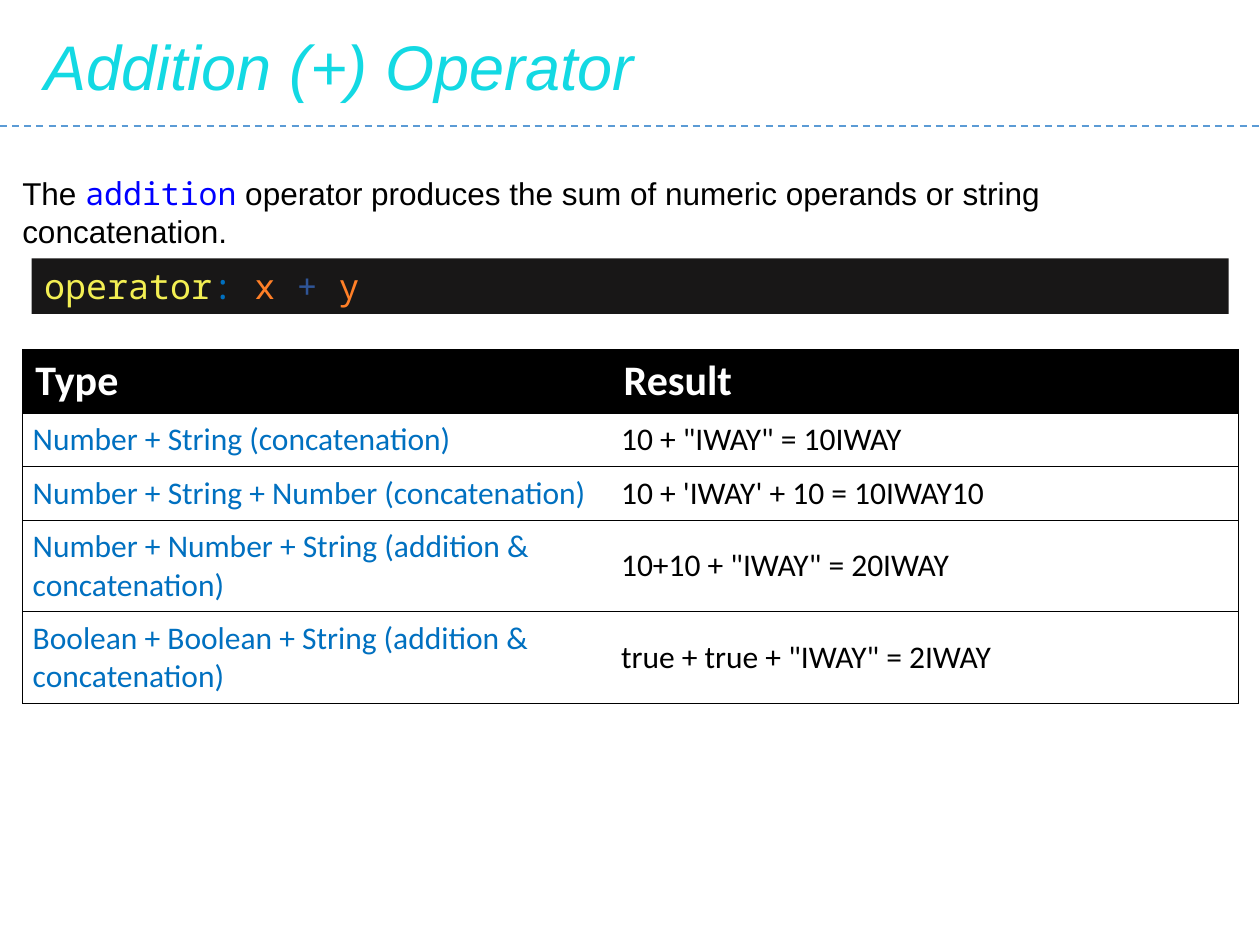
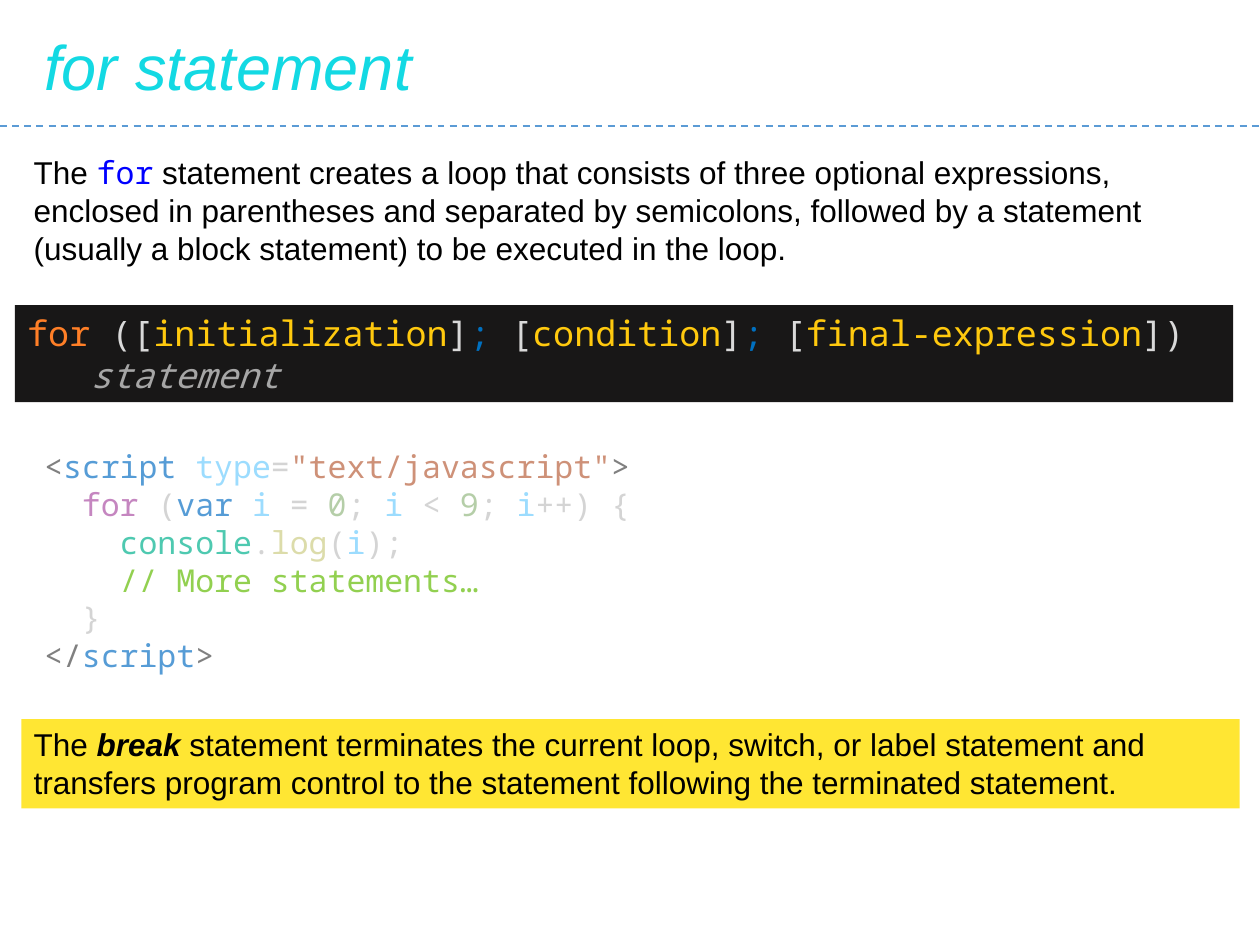
from lxml.etree import SubElement
from pptx import Presentation
from pptx.dml.color import RGBColor
from pptx.enum.dml import MSO_LINE
from pptx.enum.shapes import MSO_CONNECTOR, MSO_SHAPE
from pptx.enum.text import MSO_ANCHOR, PP_ALIGN
from pptx.oxml.ns import qn
from pptx.util import Cm, Pt

SANS, MONO, TABLE = "Arial", "Noto Sans Mono", "Calibri"
BLACK, WHITE, DARK, YELLOW = "000000", "FFFFFF", "181717", "FFE633"
CYAN, RULE, LINK, BLUE = "13D9E3", "5B9BD5", "0000FF", "0070C0"
ORANGE, GOLD, LIGHT = "FF7F27", "FFC90E", "D9D9D9"
# Code listing colours
GREY, TAG, NAME, PLAIN, DIGIT = "808080", "569CD6", "9CDCFE", "D4D4D4", "B5CEA8"


def hue(code):
    return RGBColor.from_string(code)


def add_box(slide, at, lines, size, font, fill=None):
    """Add a box of lines; a run is (text, colour, style), style m = mono, b = bold, i = italic."""
    place = [Cm(n) for n in at]
    if fill:
        box = slide.shapes.add_shape(MSO_SHAPE.RECTANGLE, *place)
        box.shadow.inherit = False
        box.fill.solid()
        box.fill.fore_color.rgb = hue(fill)
        box.line.fill.background()
    else:
        box = slide.shapes.add_textbox(*place)
    frame = box.text_frame
    frame.word_wrap = True
    frame.vertical_anchor = MSO_ANCHOR.TOP
    for n, line in enumerate(lines):
        par = frame.add_paragraph() if n else frame.paragraphs[0]
        par.alignment = PP_ALIGN.LEFT
        for text, tint, *style in line:
            run = par.add_run()
            run.text = text
            run.font.size = Pt(size)
            run.font.name = MONO if "m" in style else font
            run.font.color.rgb = hue(tint)
            run.font.bold = "b" in style
            run.font.italic = "i" in style


deck = Presentation()
deck.slide_width, deck.slide_height = Cm(25.4), Cm(19.05)

# Title and dashed rule on both slides
slides = []
for title in ("Addition (+) Operator", "for statement"):
    slide = deck.slides.add_slide(deck.slide_layouts[6])
    add_box(slide, (0.64, 0.43, 23.93, 1.8), [[(title, CYAN, "i")]], 36, SANS)
    rule = slide.shapes.add_connector(
        MSO_CONNECTOR.STRAIGHT, 0, Cm(2.54), deck.slide_width, Cm(2.54))
    rule.line.color.rgb = hue(RULE)
    rule.line.width = Pt(1)
    rule.line.dash_style = MSO_LINE.DASH
    SubElement(rule.element.spPr, qn("a:effectLst"))
    slides.append(slide)
plus, loop = slides

# Addition operator
add_box(plus, (0.2, 3.38, 25.2, 1.02), [[
    ("The ", BLACK), ("addition", LINK, "m"),
    (" operator produces the sum of numeric operands or string concatenation.", BLACK),
]], 18, SANS)
add_box(plus, (0.64, 5.21, 24.13, 1.12), [[
    ("operator", "F3EF53"), (": ", BLUE), ("x ", ORANGE), ("+ ", "2F5597"), ("y", ORANGE),
]], 20, MONO, DARK)

rows = [
    ("Type", "Result"),
    ("Number + String (concatenation)", '10 + "IWAY" = 10IWAY'),
    ("Number + String + Number (concatenation)", "10 + 'IWAY' + 10 = 10IWAY10"),
    ("Number + Number + String (addition & concatenation)", '10+10 + "IWAY" = 20IWAY'),
    ("Boolean + Boolean + String (addition & concatenation)",
     'true + true + "IWAY" = 2IWAY'),
]
tall = (1.29, 1.08, 1.08, 1.84, 1.84)
wide = (11.86, 12.65)
grid = plus.shapes.add_table(
    len(rows), 2, Cm(0.46), Cm(7.04), Cm(sum(wide)), Cm(sum(tall))).table
grid.horz_banding = False
for col, width in zip(grid.columns, wide):
    col.width = Cm(width)
for r, row in enumerate(rows):
    grid.rows[r].height = Cm(tall[r])
    for c, text in enumerate(row):
        cell = grid.cell(r, c)
        cell.text_frame.text = text
        font = cell.text_frame.paragraphs[0].runs[0].font
        font.name = TABLE
        font.bold = r == 0
        font.size = Pt(18 if r else 24)
        font.color.rgb = hue((BLUE, BLACK)[c] if r else WHITE)
        if r:
            cell.vertical_anchor = MSO_ANCHOR.MIDDLE
            cell.margin_left = cell.margin_right = Cm(0.2)
            cell.margin_top = cell.margin_bottom = Cm(0.15)
        # Every edge is ruled except the one between the columns
        props = cell._tc.get_or_add_tcPr()
        for side in "LRTB":
            edge = SubElement(props, qn("a:ln" + side), w=str(Pt(0.5)))
            if side == "RL"[c]:
                SubElement(edge, qn("a:noFill"))
            else:
                ink = SubElement(edge, qn("a:solidFill"))
                SubElement(ink, qn("a:srgbClr"), val=BLACK)
        if r:
            cell.fill.background()
        else:
            cell.fill.solid()
            cell.fill.fore_color.rgb = hue(BLACK)

# For statement
add_box(loop, (0.43, 2.97, 24.56, 2.57), [[
    ("The ", BLACK), ("for", LINK, "m"),
    (" statement creates a loop that consists of three optional expressions, enclosed in "
     "parentheses and separated by semicolons, followed by a statement (usually a block "
     "statement) to be executed in the loop.", BLACK),
]], 18, SANS)
add_box(loop, (0.3, 6.15, 24.56, 1.96), [
    [("for ", ORANGE), ("([", LIGHT), ("initialization", GOLD), ("]", LIGHT), ("; ", BLUE),
     ("[", LIGHT), ("condition", GOLD), ("]", LIGHT), ("; ", BLUE),
     ("[", LIGHT), ("final-expression", GOLD), ("])", LIGHT)],
    [("   statement", "A6A6A6", "i")],
], 20, MONO, DARK)
add_box(loop, (0.43, 14.5, 24.56, 1.8), [[
    ("The ", BLACK), ("break", BLACK, "b", "i"),
    (" statement terminates the current loop, switch, or label statement and transfers "
     "program control to the statement following the terminated statement.", BLACK),
]], 18, SANS, YELLOW)
add_box(loop, (0.64, 8.89, 23.93, 4.88), [
    [("<", GREY), ("script ", TAG), ("type", NAME), ("=", PLAIN),
     ('"text/javascript"', "CE9178"), (">", GREY)],
    [("  for ", "C586C0"), ("(", PLAIN), ("var ", TAG), ("i", NAME), (" = ", PLAIN),
     ("0", DIGIT), ("; ", PLAIN), ("i", NAME), (" < ", PLAIN), ("9", DIGIT),
     ("; ", PLAIN), ("i", NAME), ("++) {", PLAIN)],
    [("    console", "4EC9B0"), (".", PLAIN), ("log", "DCDCAA"), ("(", PLAIN),
     ("i", NAME), (");", PLAIN)],
    [("    // More statements…", "92D050")],
    [("  }", PLAIN)],
    [("</", GREY), ("script", TAG), (">", GREY)],
], 18, MONO)

deck.save("out.pptx")
